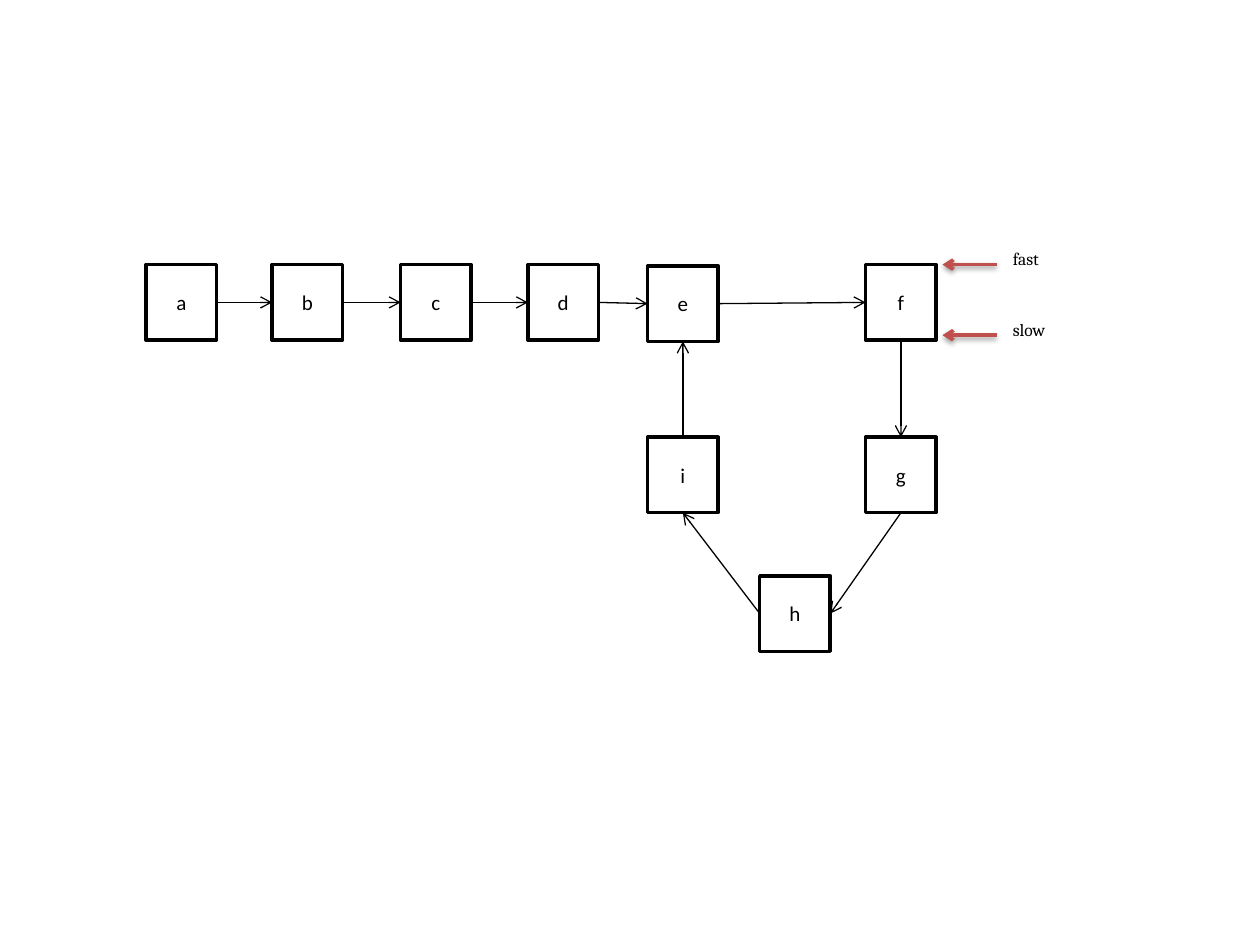
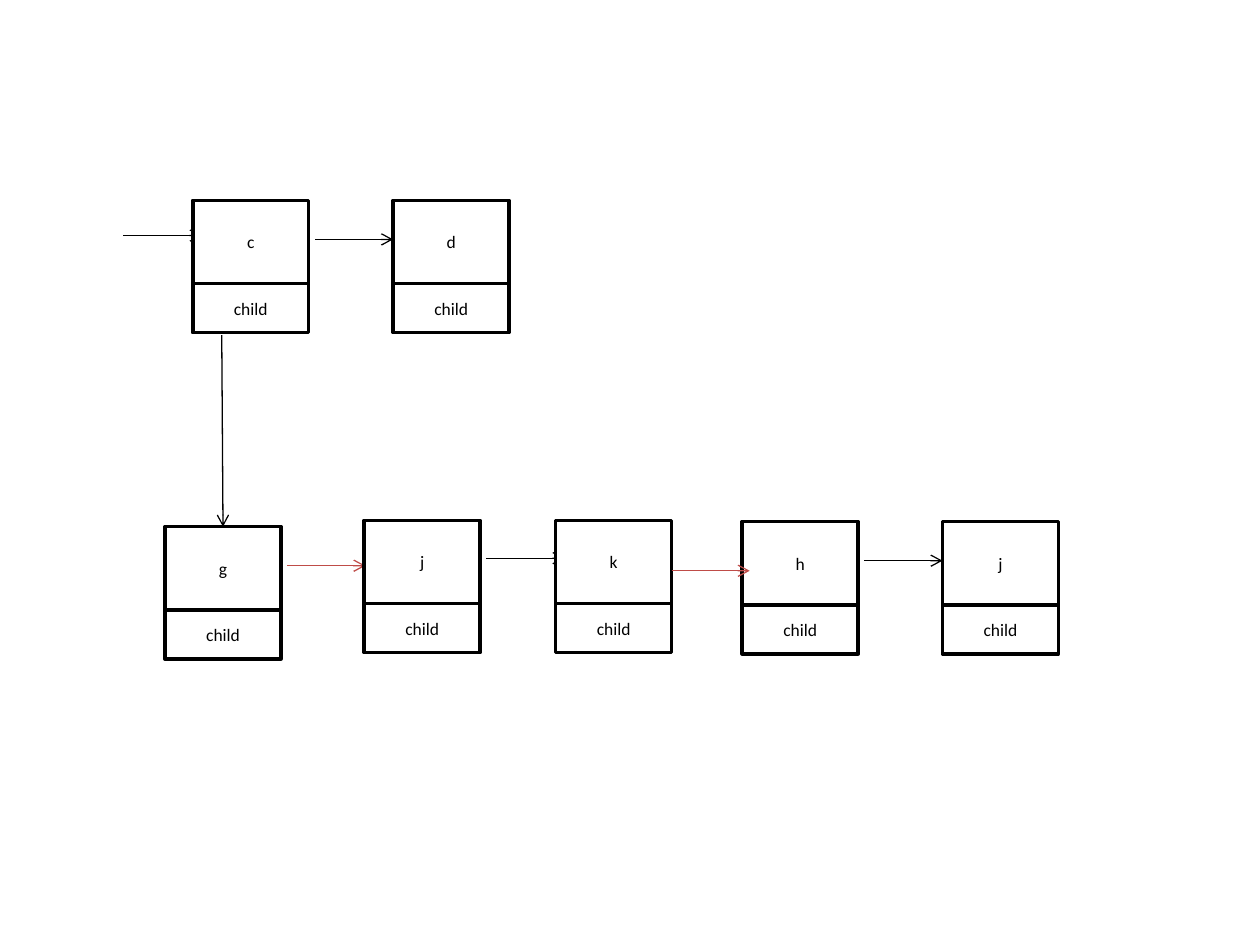
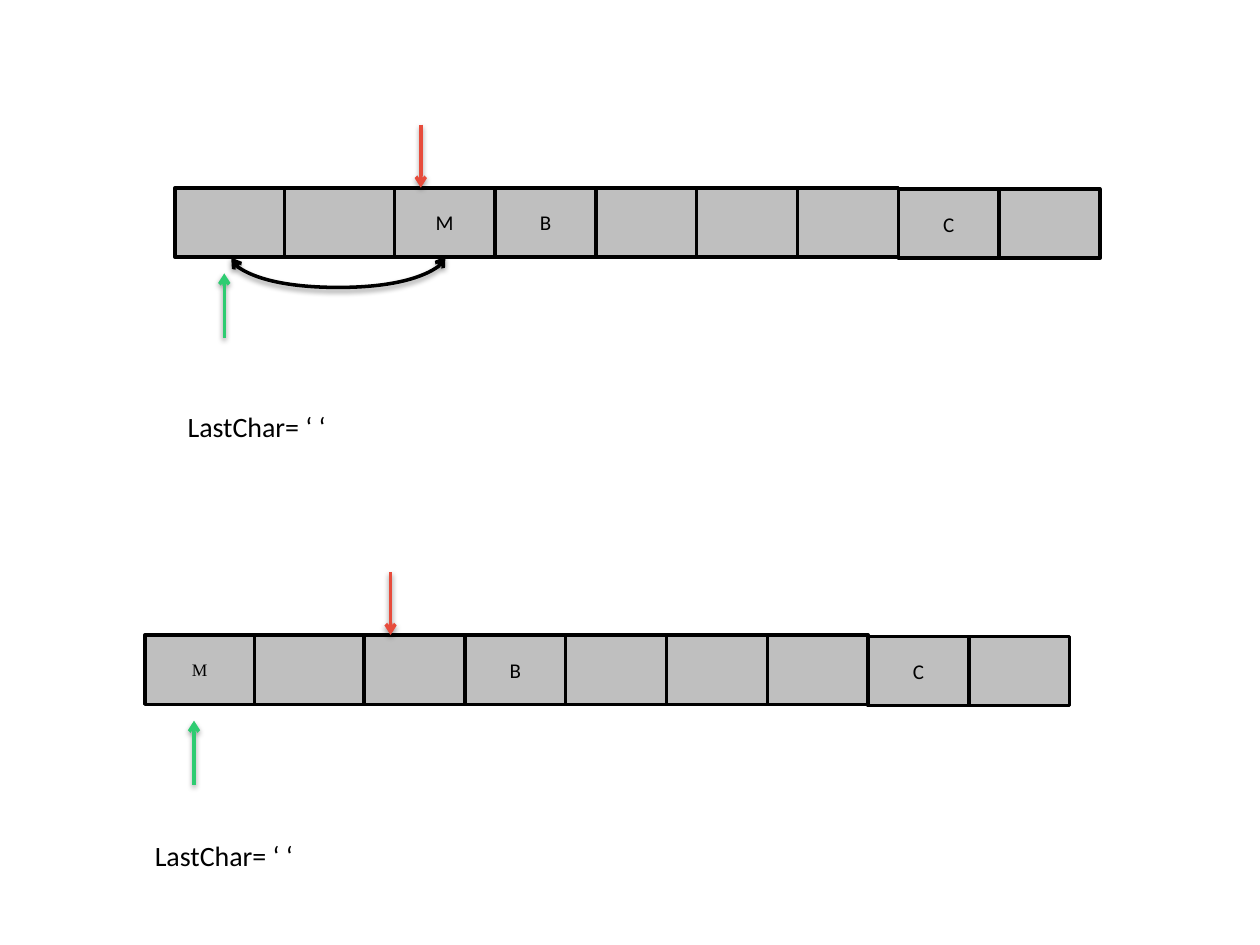
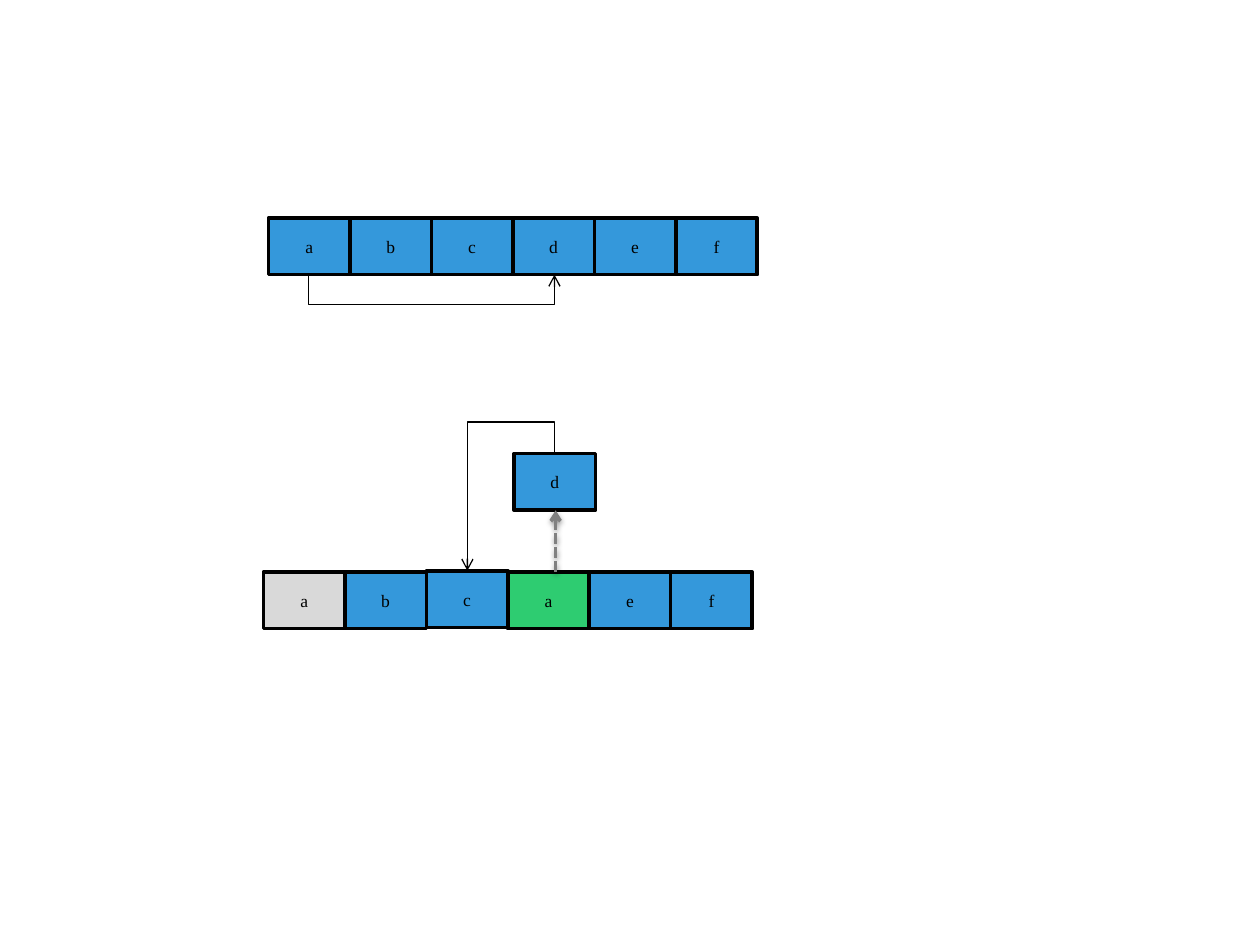
from dataclasses import dataclass

from lxml import etree
from pptx import Presentation
from pptx.dml.color import RGBColor
from pptx.enum.dml import MSO_LINE
from pptx.enum.shapes import MSO_CONNECTOR, MSO_SHAPE
from pptx.enum.text import MSO_ANCHOR, PP_ALIGN
from pptx.oxml.ns import qn
from pptx.shapes.connector import Connector
from pptx.slide import Slide
from pptx.util import Inches, Pt

STRAIGHT, ELBOW, CURVE = MSO_CONNECTOR.STRAIGHT, MSO_CONNECTOR.ELBOW, MSO_CONNECTOR.CURVE
RECTANGLE = MSO_SHAPE.RECTANGLE
SHORT_DASH = MSO_LINE.SQUARE_DOT
MIDDLE = MSO_ANCHOR.MIDDLE
LEFT, CENTER = PP_ALIGN.LEFT, PP_ALIGN.CENTER

BLACK = RGBColor(0x00, 0x00, 0x00)
WHITE = RGBColor(0xFF, 0xFF, 0xFF)
BRICK = RGBColor(0xC0, 0x50, 0x4D)
DARK_BRICK = RGBColor(0xBF, 0x4C, 0x48)
SILVER = RGBColor(0xBF, 0xBF, 0xBF)
PALE_GRAY = RGBColor(0xD9, 0xD9, 0xD9)
GRAY = RGBColor(0x80, 0x80, 0x80)
RED = RGBColor(0xE7, 0x4C, 0x3C)
GREEN = RGBColor(0x2E, 0xCC, 0x71)
BLUE = RGBColor(0x34, 0x98, 0xDB)

SANS, SERIF, ROMAN = "Calibri", "Cambria", "Times New Roman"
THIN, THICK = 0.75, 2

NODE_WIDTH, NODE_HEIGHT = 0.56, 0.6
CARD_WIDTH, CARD_HEIGHT, CHILD_HEIGHT = 0.92, 0.66, 0.39
LINK_GAP, LINK_LENGTH = 0.05, 0.62
LETTER_WIDTH = 3.88 / 6


@dataclass(frozen=True)
class TextStyle:
    size: float
    font: str = SANS


@dataclass(frozen=True)
class Cell:
    text: str
    width: float
    fill: RGBColor
    style: TextStyle
    drop: float = 0


@dataclass(frozen=True)
class Arrow:
    start: tuple[float, float]
    end: tuple[float, float]
    color: RGBColor = BLACK
    weight: float = THIN
    dashed: bool = False


@dataclass(frozen=True)
class Bend:
    kind: MSO_CONNECTOR
    left: float
    top: float
    width: float
    height: float
    rotation: int
    flips: tuple[str, ...]
    adjust: float
    weight: float = THIN
    two_headed: bool = False


NODE_TEXT = TextStyle(12)
CARD_TEXT = TextStyle(10)
POINTER_TEXT = TextStyle(10, SERIF)
ROMAN_TEXT = TextStyle(10, ROMAN)
CAPTION_TEXT = TextStyle(16)

LIST_NODES = {
    "a": (1.16, 2.1), "b": (2.16, 2.1), "c": (3.18, 2.1), "d": (4.19, 2.1), "e": (5.14, 2.11),
    "f": (6.87, 2.1), "g": (6.87, 3.47), "h": (6.03, 4.57), "i": (5.14, 3.47),
}
LIST_LINKS = [
    ("a", "right", "b", "left"), ("b", "right", "c", "left"), ("c", "right", "d", "left"),
    ("d", "right", "e", "left"), ("e", "right", "f", "left"), ("f", "bottom", "g", "top"),
    ("g", "bottom", "h", "right"), ("h", "left", "i", "bottom"), ("i", "top", "e", "bottom"),
]
CARDS = [
    ("c", 1.53, 1.59), ("d", 3.12, 1.59), ("g", 1.31, 4.18), ("j", 2.89, 4.13),
    ("k", 4.41, 4.13), ("h", 5.89, 4.14), ("j", 7.48, 4.14),
]


def set_text(frame, text: str, style: TextStyle, align: PP_ALIGN) -> None:
    para = frame.paragraphs[0]
    para.text = text
    para.alignment = align
    para.font.size = Pt(style.size)
    para.font.name = style.font
    para.font.color.rgb = BLACK


def draw_box(page: Slide, left: float, top: float, height: float, cell: Cell) -> None:
    box = page.shapes.add_shape(
        RECTANGLE, Inches(left), Inches(top), Inches(cell.width), Inches(height)
    )
    box.shadow.inherit = False
    box.fill.solid()
    box.fill.fore_color.rgb = cell.fill
    box.line.color.rgb = BLACK
    box.line.width = Pt(THICK)
    if cell.text:
        box.text_frame.vertical_anchor = MIDDLE
        set_text(box.text_frame, cell.text, cell.style, CENTER)


def draw_row(page: Slide, left: float, top: float, height: float, cells: list[Cell]) -> None:
    for cell in cells:
        draw_box(page, left, top + cell.drop, height, cell)
        left += cell.width


def draw_label(
    page: Slide, text: str, left: float, top: float, width: float, height: float,
    style: TextStyle, wrap: bool,
) -> None:
    box = page.shapes.add_textbox(Inches(left), Inches(top), Inches(width), Inches(height))
    box.text_frame.word_wrap = wrap
    set_text(box.text_frame, text, style, LEFT)


def finish_line(
    line: Connector, color: RGBColor, weight: float, dashed: bool, two_headed: bool
) -> None:
    line.line.color.rgb = color
    line.line.width = Pt(weight)
    if dashed:
        line.line.dash_style = SHORT_DASH
    outline = line.get_or_add_ln()
    for end in ("a:headEnd", "a:tailEnd") if two_headed else ("a:tailEnd",):
        etree.SubElement(outline, qn(end), type="arrow")
    effects = etree.SubElement(line.element.spPr, qn("a:effectLst"))
    if weight == THICK:
        shadow = etree.SubElement(
            effects, qn("a:outerShdw"), blurRad=str(Pt(3.1)), dist=str(Pt(1.6)),
            dir="5400000", rotWithShape="0",
        )
        tint = etree.SubElement(shadow, qn("a:srgbClr"), val=str(BLACK))
        etree.SubElement(tint, qn("a:alpha"), val="38000")


def draw_arrow(page: Slide, arrow: Arrow) -> None:
    line = page.shapes.add_connector(
        STRAIGHT, *(Inches(value) for value in (*arrow.start, *arrow.end))
    )
    finish_line(line, arrow.color, arrow.weight, arrow.dashed, False)


def draw_bend(page: Slide, bend: Bend) -> None:
    line = page.shapes.add_connector(
        bend.kind, Inches(bend.left), Inches(bend.top),
        Inches(bend.left + bend.width), Inches(bend.top + bend.height),
    )
    properties = line.element.spPr
    frame = properties.find(qn("a:xfrm"))
    frame.set("rot", str(bend.rotation * 60000))
    for flip in bend.flips:
        frame.set(flip, "1")
    guides = properties.find(qn("a:prstGeom")).find(qn("a:avLst"))
    etree.SubElement(guides, qn("a:gd"), name="adj1", fmla=f"val {round(bend.adjust * 100000)}")
    finish_line(line, BLACK, bend.weight, False, bend.two_headed)


def node_side(name: str, side: str) -> tuple[float, float]:
    left, top = LIST_NODES[name]
    across, down = {
        "left": (0, 0.5), "right": (1, 0.5), "top": (0.5, 0), "bottom": (0.5, 1),
    }[side]
    return left + across * NODE_WIDTH, top + down * NODE_HEIGHT


def build_cycle_page(page: Slide) -> None:
    for name, (left, top) in LIST_NODES.items():
        draw_box(page, left, top, NODE_HEIGHT, Cell(name, NODE_WIDTH, WHITE, NODE_TEXT))
    for source, source_side, target, target_side in LIST_LINKS:
        draw_arrow(page, Arrow(node_side(source, source_side), node_side(target, target_side)))
    for text, height, width in (("slow", 2.66, 0.6), ("fast", 2.1, 0.71)):
        draw_arrow(page, Arrow((7.91, height), (7.48, height), BRICK, THICK))
        draw_label(page, text, 7.94, height - 0.18, width, 0.39, POINTER_TEXT, True)


def card_link(start: float, height: float, color: RGBColor = BLACK) -> Arrow:
    return Arrow((start, height), (start + LINK_LENGTH, height), color)


def build_children_page(page: Slide) -> None:
    draw_arrow(page, card_link(0.98, 1.87))
    for left, height, color in (
        (1.53, 1.9, BLACK), (1.31, 4.49, DARK_BRICK), (2.89, 4.43, BLACK), (5.89, 4.45, BLACK),
    ):
        draw_arrow(page, card_link(left + CARD_WIDTH + LINK_GAP, height, color))
    for name, left, top in CARDS:
        draw_box(page, left, top, CARD_HEIGHT, Cell(name, CARD_WIDTH, WHITE, CARD_TEXT))
        child = Cell("child", CARD_WIDTH, WHITE, CARD_TEXT)
        draw_box(page, left, top + CARD_HEIGHT, CHILD_HEIGHT, child)
    draw_arrow(page, Arrow((1.76, 2.66), (1.77, 4.18)))
    draw_arrow(page, card_link(5.33, 4.53, DARK_BRICK))


def draw_buffer(
    page: Slide, left: float, top: float, letters: dict[int, str], first_style: TextStyle,
    caption_left: float, caption_top: float,
) -> None:
    cells = [
        Cell(
            letters.get(index, ""),
            0.87 if index < 2 else 0.8,
            SILVER,
            NODE_TEXT if index else first_style,
            0.01 if index > 6 else 0,
        )
        for index in range(9)
    ]
    draw_row(page, left, top, 0.55, cells)
    reader, writer = left + 1.95, left + 0.39
    draw_arrow(page, Arrow((reader, top - 0.5), (reader, top), RED, THICK))
    draw_arrow(page, Arrow((writer, top + 1.19), (writer, top + 0.68), GREEN, THICK))
    draw_label(
        page, "LastChar= ‘ ‘", caption_left, caption_top, 1.32, 0.37, CAPTION_TEXT, False
    )


def build_buffer_page(page: Slide) -> None:
    draw_buffer(page, 1.39, 1.49, {2: "M", 3: "B", 7: "C"}, NODE_TEXT, 1.39, 3.2)
    draw_bend(page, Bend(CURVE, 2.68, 1.19, 0.01, 1.7, 90, (), 25, THICK, True))
    draw_buffer(page, 1.15, 5.04, {0: "M", 3: "B", 7: "C"}, ROMAN_TEXT, 1.13, 6.61)


def letter_cell(text: str, fill: RGBColor = BLUE, drop: float = 0) -> Cell:
    return Cell(text, LETTER_WIDTH, fill, ROMAN_TEXT, drop)


def build_rotation_page(page: Slide) -> None:
    draw_row(page, 2.13, 1.73, 0.45, [letter_cell(letter) for letter in "abcdef"])
    draw_bend(page, Bend(ELBOW, 3.42, 1.2, 0.01, 1.95, 270, ("flipH",), 25))
    moved_cells = [
        letter_cell("a", PALE_GRAY), letter_cell("b"), letter_cell("c", drop=-0.01),
        letter_cell("a", GREEN), letter_cell("e"), letter_cell("f"),
    ]
    draw_row(page, 2.09, 4.54, 0.45, moved_cells)
    draw_box(page, 4.08, 3.6, 0.45, letter_cell("d"))
    draw_bend(page, Bend(ELBOW, 3.59, 3.72, 0.93, 0.69, 270, ("flipH", "flipV"), -0.27))
    draw_arrow(page, Arrow((4.41, 4.54), (4.41, 4.05), GRAY, THICK, True))


def main() -> None:
    deck = Presentation()
    deck.slide_width, deck.slide_height = Inches(10), Inches(7.5)
    blank = deck.slide_layouts[6]
    for build in (build_cycle_page, build_children_page, build_buffer_page, build_rotation_page):
        build(deck.slides.add_slide(blank))
    deck.save("out.pptx")


if __name__ == "__main__":
    main()
